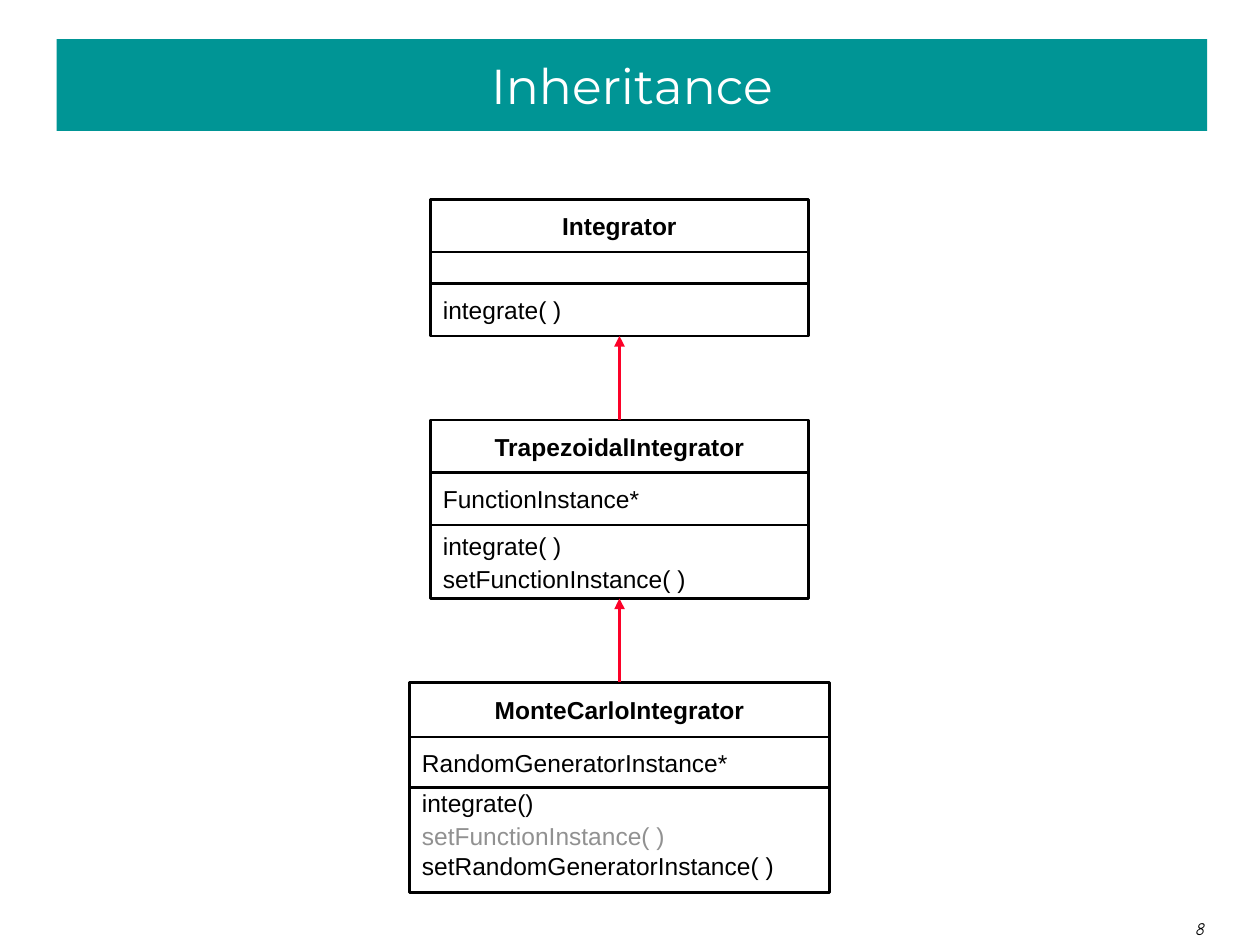
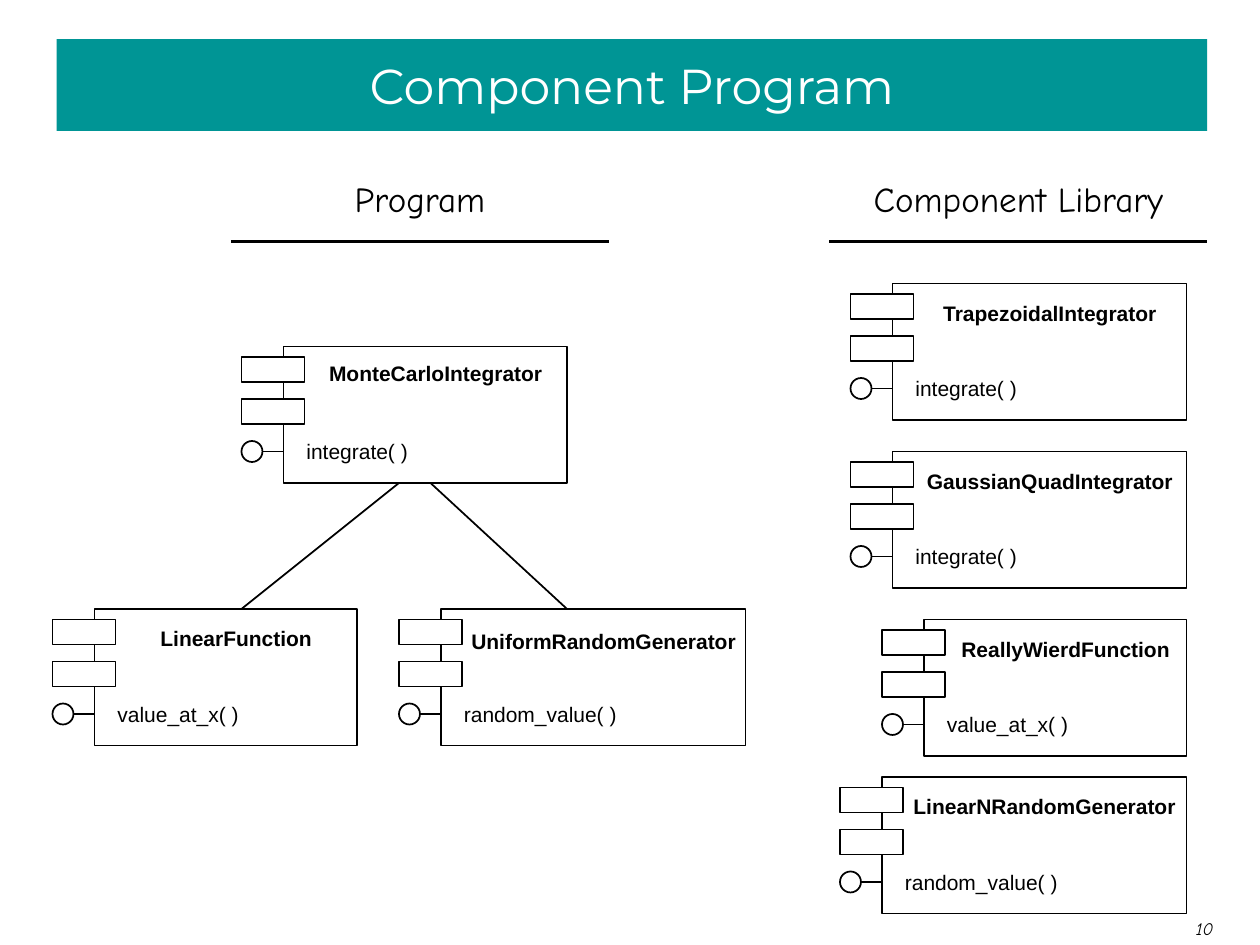
from lxml.etree import SubElement
from pptx import Presentation
from pptx.dml.color import RGBColor
from pptx.enum.shapes import MSO_CONNECTOR, MSO_SHAPE
from pptx.enum.text import MSO_ANCHOR, MSO_AUTO_SIZE, PP_ALIGN
from pptx.oxml.ns import qn
from pptx.util import Inches, Pt

# The grid has 120 columns and 90 rows, twelve to the inch.
COLUMNS, ROWS = 120, 90
BLACK, WHITE, GREY = "000000", "FFFFFF", "919191"
TEAL, RED = "009595", "FC0128"
TITLE_FONT, LABEL_FONT, HAND_FONT = "Montserrat", "Arial", "Comic Neue"
CLASS_LINE, COMPONENT_LINE = 1.5, 1


def rgb(hex_colour):
    return RGBColor.from_string(hex_colour)


def grid(*cells):
    return [Inches(cell / 12) for cell in cells]


def set_font(paragraph, face, size, colour=BLACK, bold=False, italic=False):
    font = paragraph.font
    font.name, font.size, font.bold, font.italic = face, Pt(size), bold, italic
    font.color.rgb = rgb(colour)


def add_label(slide, box, lines, face=LABEL_FONT, size=14, align=PP_ALIGN.LEFT,
              anchor=MSO_ANCHOR.MIDDLE, bold=False, italic=False):
    """Write (text, colour, line spacing) lines into a box on the grid."""
    frame = slide.shapes.add_textbox(*grid(*box)).text_frame
    frame.word_wrap = True
    frame.vertical_anchor = anchor
    for number, (text, colour, spacing) in enumerate(lines):
        paragraph = frame.add_paragraph() if number else frame.paragraphs[0]
        paragraph.text = text
        paragraph.alignment = align
        paragraph.line_spacing = spacing
        if number:
            paragraph.space_before = Pt(8.8)
        set_font(paragraph, face, size, colour, bold, italic)


def add_line_of_text(slide, box, text, **style):
    add_label(slide, box, [(text, BLACK, 1.0)], **style)


def add_outline(slide, kind, box, width, fill=None):
    shape = slide.shapes.add_shape(kind, *grid(*box))
    shape.shadow.inherit = False
    if fill:
        shape.fill.solid()
        shape.fill.fore_color.rgb = rgb(fill)
    else:
        shape.fill.background()
    shape.line.color.rgb = rgb(BLACK)
    shape.line.width = Pt(width)
    return shape


def add_line(slide, start, end, width=COMPONENT_LINE, colour=BLACK):
    line = slide.shapes.add_connector(MSO_CONNECTOR.STRAIGHT, *grid(*start, *end))
    line.line.color.rgb = rgb(colour)
    line.line.width = Pt(width)
    SubElement(line._element.spPr, qn("a:effectLst"))
    return line


def add_inheritance_arrow(slide, child, parent):
    arrow = add_line(slide, (0, 0), (0, 0), 2, RED)
    arrow.begin_connect(child, 0)
    arrow.end_connect(parent, 2)
    SubElement(arrow.line._get_or_add_ln(), qn("a:tailEnd"), type="triangle")


def add_class(slide, left, top, width, row_heights, name, attribute, methods, drop=0):
    """Draw a class box with three compartments; drop lowers the methods."""
    name_height, attribute_height, method_height = row_heights
    attribute_top = top + name_height
    method_top = attribute_top + attribute_height
    frame = add_outline(slide, MSO_SHAPE.RECTANGLE,
                        (left, top, width, sum(row_heights)), CLASS_LINE)
    add_outline(slide, MSO_SHAPE.RECTANGLE,
                (left, attribute_top, width, attribute_height), CLASS_LINE)

    def inside(row_top, height):
        return left, row_top + 0.5, width, height - 1

    add_line_of_text(slide, inside(top, name_height), name,
                     align=PP_ALIGN.CENTER, bold=True)
    if attribute:
        add_line_of_text(slide, inside(attribute_top, attribute_height), attribute)
    add_label(slide, inside(method_top + drop, method_height), methods)
    return frame


def add_component(slide, left, top, width, name, method, name_drop=1):
    """Draw a component with two lugs and an interface on its left side."""
    port = left - 4
    add_outline(slide, MSO_SHAPE.RECTANGLE, (left, top, width, 13), COMPONENT_LINE)
    for lug_drop in (1, 5):
        add_outline(slide, MSO_SHAPE.RECTANGLE, (port, top + lug_drop, 6, 2.4),
                    COMPONENT_LINE, WHITE)
    add_line_of_text(slide, (left + 1, top + name_drop, width, 3.6), name,
                     size=12, align=PP_ALIGN.CENTER, bold=True)
    add_outline(slide, MSO_SHAPE.OVAL, (port, top + 9, 2, 2), COMPONENT_LINE)
    add_line(slide, (port + 2, top + 10), (left, top + 10))
    add_line_of_text(slide, (left + 1, top + 8.2, 20, 3.6), method, size=12)


def add_heading(slide, left, text):
    add_line_of_text(slide, (left + 2, 16.3, 32, 5.2), text, face=HAND_FONT,
                     size=20, align=PP_ALIGN.CENTER)
    add_line(slide, (left, 23), (left + 36, 23), 2)


def add_titled_slide(deck, text, number):
    slide = deck.slides.add_slide(deck.slide_layouts[5])
    title = slide.shapes.title
    title.left, title.top, title.width, title.height = map(
        Inches, (0.45, 0.31, 9.13, 0.73))
    title.fill.solid()
    title.fill.fore_color.rgb = rgb(TEAL)
    frame = title.text_frame
    frame.text = text
    frame.auto_size = MSO_AUTO_SIZE.NONE
    frame.vertical_anchor = MSO_ANCHOR.MIDDLE
    frame.paragraphs[0].alignment = PP_ALIGN.CENTER
    set_font(frame.paragraphs[0], TITLE_FONT, 28, WHITE)
    add_line_of_text(slide, (112.7, 86.9, 7.3, 3.1), str(number), face=HAND_FONT,
                     size=10, anchor=MSO_ANCHOR.BOTTOM, italic=True)
    return slide


def build_inheritance(deck):
    slide = add_titled_slide(deck, "Inheritance", 8)
    integrator = add_class(slide, 41, 19, 36, (5, 3, 5), "Integrator", None,
                           [("integrate( )", BLACK, 1.0)])
    trapezoidal = add_class(
        slide, 41, 40, 36, (5, 5, 7), "TrapezoidalIntegrator", "FunctionInstance*",
        [("integrate( )", BLACK, 0.6), ("setFunctionInstance( )", BLACK, 0.6)],
        drop=0.5)
    monte_carlo = add_class(
        slide, 39, 65, 40, (5.2, 4.8, 10), "MonteCarloIntegrator",
        "RandomGeneratorInstance*",
        [("integrate()", BLACK, 0.5), ("setFunctionInstance( )", GREY, 0.6),
         ("setRandomGeneratorInstance( )", BLACK, 0.5)])
    add_inheritance_arrow(slide, trapezoidal, integrator)
    add_inheritance_arrow(slide, monte_carlo, trapezoidal)


def build_component_program(deck):
    slide = add_titled_slide(deck, "Component Program", 10)
    add_heading(slide, 22, "Program")
    add_heading(slide, 79, "Component Library")

    add_component(slide, 27, 33, 27, "MonteCarloIntegrator", "integrate( )", 0.7)
    add_component(slide, 9, 58, 25, "LinearFunction", "value_at_x( )")
    add_component(slide, 42, 58, 29, "UniformRandomGenerator", "random_value( )", 1.3)
    for column, used_column in ((38, 23), (41, 54)):
        add_line(slide, (column, 46), (used_column, 58))

    library_right = 113
    for top, width, name, method in (
            (27, 28, "TrapezoidalIntegrator", "integrate( )"),
            (43, 28, "GaussianQuadIntegrator", "integrate( )"),
            (59, 25, "ReallyWierdFunction", "value_at_x( )"),
            (74, 29, "LinearNRandomGenerator", "random_value( )")):
        add_component(slide, library_right - width, top, width, name, method)


def main():
    deck = Presentation()
    deck.slide_width, deck.slide_height = grid(COLUMNS, ROWS)
    build_inheritance(deck)
    build_component_program(deck)
    deck.save("out.pptx")


if __name__ == "__main__":
    main()
